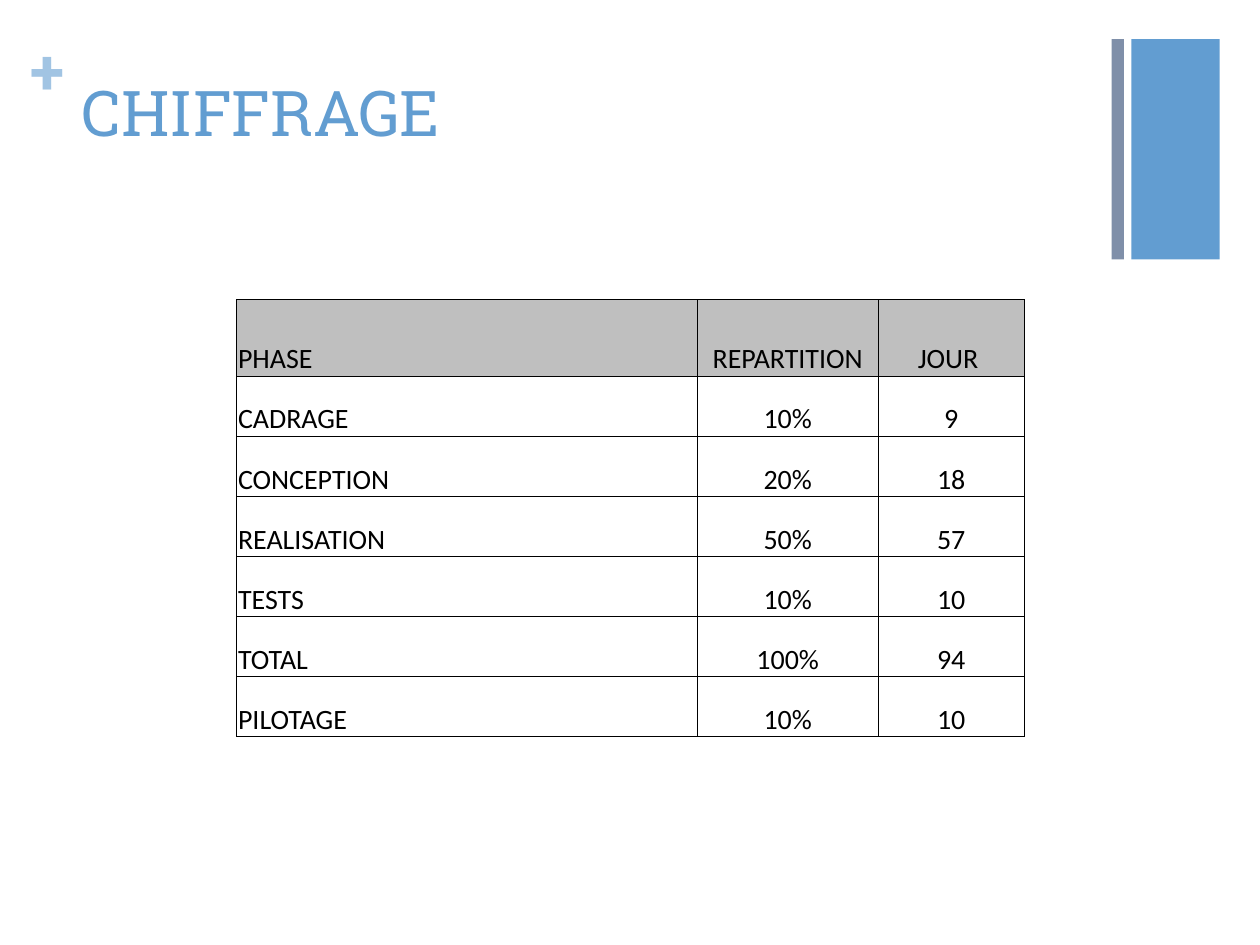
from dataclasses import dataclass

from lxml import etree
from pptx import Presentation
from pptx import util as u
from pptx.dml.color import RGBColor
from pptx.enum import shapes, text
from pptx.oxml import ns


@dataclass(frozen=True)
class Theme:
    accent: str = "629DD1"
    plus: str = "A1C4E3"
    stripe: str = "7F8FA9"
    header: str = "BFBFBF"
    ink: str = "000000"
    heading_font: str = "Roboto Slab"
    table_font: str = "Calibri"
    heading_size: int = 36
    table_size: int = 16
    border: float = 0.5


@dataclass(frozen=True)
class Box:
    left: float
    top: float
    width: float
    height: float

    def lengths(self) -> tuple:
        return tuple(map(u.Cm, (self.left, self.top, self.width, self.height)))


@dataclass(frozen=True)
class Band:
    box: Box
    color: str


@dataclass(frozen=True)
class Heading:
    box: Box
    wording: str
    color: str
    bold: bool
    inset_x: float
    inset_y: float


@dataclass(frozen=True)
class Phase:
    label: str
    share: str
    days: str


THEME = Theme()
BANDS = [
    Band(Box(22.81, 0.79, 1.78, 4.44), THEME.accent),
    Band(Box(22.41, 0.79, 0.25, 4.44), THEME.stripe),
]
HEADINGS = [
    Heading(Box(0.61, 0.64, 0.74, 1.55), "+", THEME.plus, True, 0, 0),
    Heading(Box(1.4, 1.35, 20.98, 3.1), "CHIFFRAGE", THEME.accent, False, 0.25, 0.13),
]
PHASES = [
    Phase("PHASE", "REPARTITION", "JOUR "),
    Phase("CADRAGE", "10%", "9"),
    Phase("CONCEPTION", "20%", "18"),
    Phase("REALISATION", "50%", "57"),
    Phase("TESTS", "10%", "10"),
    Phase("TOTAL", "100%", "94"),
    Phase("PILOTAGE", "10%", "10"),
]
COLUMN_WIDTHS = (9.29, 3.64, 2.95)
HEADER_HEIGHT, ROW_HEIGHT = 1.55, 1.21


def style_font(font, face: str, size: int, color: str, bold: bool = False) -> None:
    font.name = face
    font.size = u.Pt(size)
    font.bold = bold
    font.color.rgb = RGBColor.from_string(color)


def draw_band(slide, band: Band) -> None:
    bar = slide.shapes.add_shape(shapes.MSO_SHAPE.RECTANGLE, *band.box.lengths())
    bar.shadow.inherit = False
    bar.fill.solid()
    bar.fill.fore_color.rgb = RGBColor.from_string(band.color)
    bar.line.fill.background()


def draw_heading(slide, heading: Heading) -> None:
    frame = slide.shapes.add_textbox(*heading.box.lengths()).text_frame
    frame.word_wrap = True
    frame.vertical_anchor = text.MSO_ANCHOR.TOP
    frame.margin_left = frame.margin_right = u.Cm(heading.inset_x)
    frame.margin_top = frame.margin_bottom = u.Cm(heading.inset_y)
    paragraph = frame.paragraphs[0]
    paragraph.text = heading.wording
    style_font(paragraph.font, THEME.heading_font, THEME.heading_size,
               heading.color, heading.bold)


def draw_borders(cell) -> None:
    properties = cell._tc.get_or_add_tcPr()
    for position, side in enumerate(("lnL", "lnR", "lnT", "lnB")):
        edge = etree.Element(ns.qn(f"a:{side}"), w=str(u.Pt(THEME.border)))
        fill = etree.SubElement(edge, ns.qn("a:solidFill"))
        etree.SubElement(fill, ns.qn("a:srgbClr"), val=THEME.ink)
        properties.insert(position, edge)


def fill_cell(cell, wording: str, header: bool, centred: bool) -> None:
    cell.vertical_anchor = text.MSO_ANCHOR.BOTTOM
    cell.margin_left = cell.margin_right = cell.margin_top = u.Cm(0.03)
    cell.margin_bottom = 0
    if header:
        cell.fill.solid()
        cell.fill.fore_color.rgb = RGBColor.from_string(THEME.header)
    else:
        cell.fill.background()
    draw_borders(cell)
    paragraph = cell.text_frame.paragraphs[0]
    paragraph.text = wording
    paragraph.alignment = text.PP_ALIGN.CENTER if centred else text.PP_ALIGN.LEFT
    style_font(paragraph.font, THEME.table_font, THEME.table_size, THEME.ink)


def draw_estimate(slide, phases: list[Phase]) -> None:
    height = HEADER_HEIGHT + ROW_HEIGHT * (len(phases) - 1)
    box = Box(4.77, 6.04, sum(COLUMN_WIDTHS), height)
    estimate = slide.shapes.add_table(
        len(phases), len(COLUMN_WIDTHS), *box.lengths()).table
    for column, width in zip(estimate.columns, COLUMN_WIDTHS):
        column.width = u.Cm(width)
    for index, (row, phase) in enumerate(zip(estimate.rows, phases)):
        row.height = u.Cm(ROW_HEIGHT if index else HEADER_HEIGHT)
        wordings = (phase.label, phase.share, phase.days)
        for column, (cell, wording) in enumerate(zip(row.cells, wordings)):
            fill_cell(cell, wording, header=index == 0, centred=column > 0)


def main() -> None:
    deck = Presentation()
    deck.slide_width, deck.slide_height = u.Cm(25.4), u.Cm(19.05)
    slide = deck.slides.add_slide(deck.slide_layouts[6])
    for band in BANDS:
        draw_band(slide, band)
    for heading in HEADINGS:
        draw_heading(slide, heading)
    draw_estimate(slide, PHASES)
    deck.save("out.pptx")


if __name__ == "__main__":
    main()
